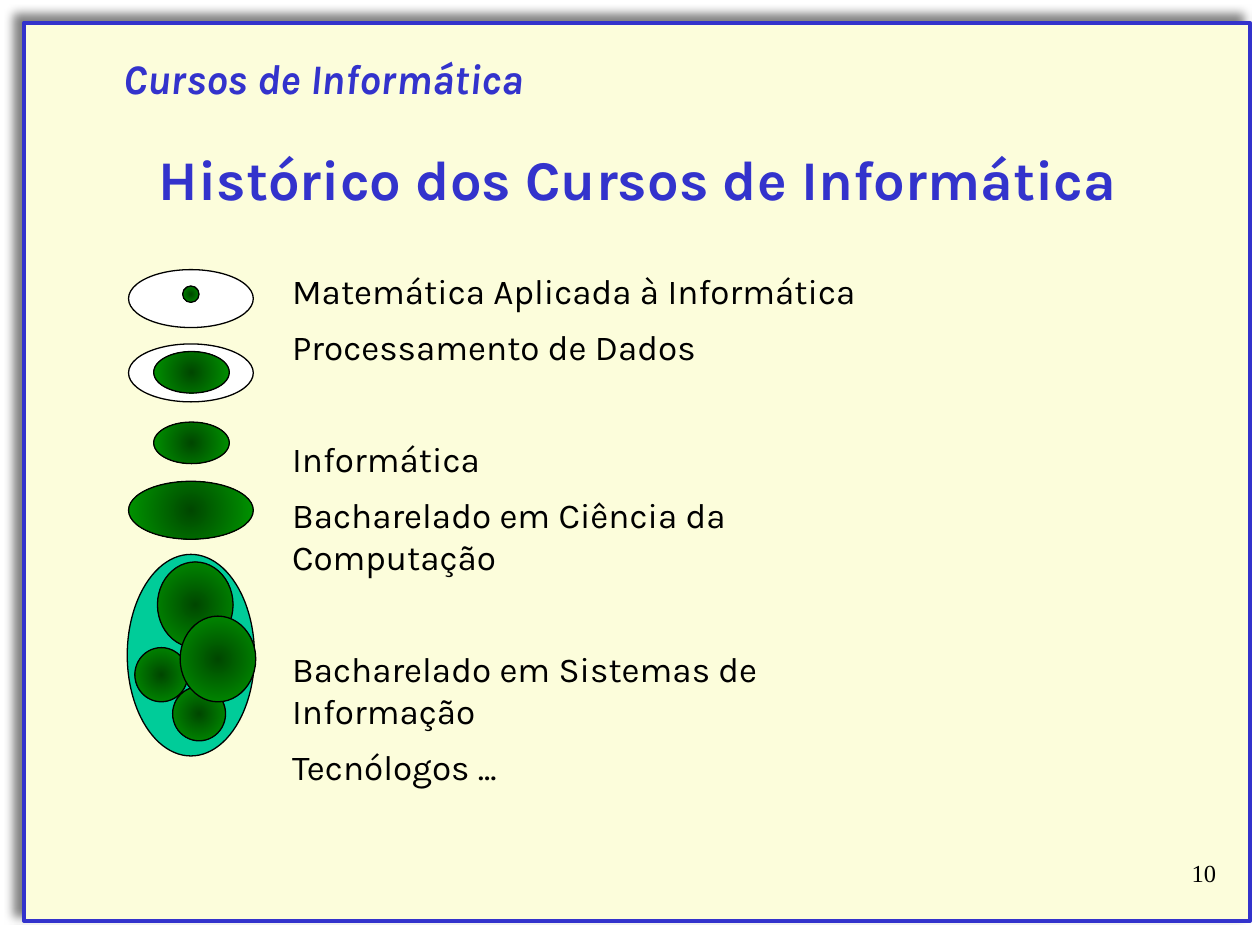
"""Build the slide on the history of computing courses."""
from dataclasses import dataclass

from lxml import etree
from pptx import Presentation
from pptx.dml.color import RGBColor
from pptx.enum.shapes import MSO_SHAPE
from pptx.enum.text import MSO_ANCHOR, MSO_AUTO_SIZE, PP_ALIGN
from pptx.oxml.ns import qn
from pptx.util import Inches, Pt

OVAL, RECT = MSO_SHAPE.OVAL, MSO_SHAPE.RECTANGLE
LEFT, CENTER, RIGHT = PP_ALIGN.LEFT, PP_ALIGN.CENTER, PP_ALIGN.RIGHT
TOP, NO_FIT = MSO_ANCHOR.TOP, MSO_AUTO_SIZE.NONE

BLUE, BLACK, WHITE, CREAM, TEAL = "3333CC", "000000", "FFFFFF", "FCFDDB", "00CC99"
DARK_GREEN, GREEN = "004700", "009900"
KARLA, TIMES = "Karla", "Times New Roman"
LINE_HEIGHT, COURSE_GAP = 24, 8
SECTION_GAP = LINE_HEIGHT + 2 * COURSE_GAP


@dataclass
class Oval:
    left: float
    top: float
    width: float
    height: float
    fill: str = ""


@dataclass
class Course:
    name: str
    gap: int = COURSE_GAP


OUTER, INNER = (0.99, 0.46), (0.6, 0.33)
BIG_CORE, SMALL_CORE = (0.6, 0.68), (0.42, 0.43)
STAGES = [
    Oval(1.02, 2.14, *OUTER, WHITE),
    Oval(1.45, 2.27, 0.13, 0.13),
    Oval(1.02, 2.73, *OUTER, WHITE),
    Oval(1.22, 2.79, *INNER),
    Oval(1.22, 3.35, *INNER),
    Oval(1.02, 3.82, *OUTER),
]
CLUSTER = [
    Oval(1.01, 4.4, 1.01, 1.6, TEAL),
    Oval(1.25, 4.46, *BIG_CORE),
    Oval(1.37, 5.45, *SMALL_CORE),
    Oval(1.07, 5.14, *SMALL_CORE),
    Oval(1.43, 4.89, *BIG_CORE),
]
COURSES = [
    Course("Matemática Aplicada à Informática"),
    Course("Processamento de Dados"),
    Course("Informática", SECTION_GAP),
    Course("Bacharelado em Ciência da Computação"),
    Course("Bacharelado em Sistemas de Informação", SECTION_GAP),
    Course("Tecnólogos ..."),
]


def color(value: str) -> RGBColor:
    return RGBColor.from_string(value)


def place(box: tuple) -> list:
    return [Inches(length) for length in box]


def fill_radial(shape) -> None:
    shape.fill.gradient()
    for stop, shade in zip(shape.fill.gradient_stops, (DARK_GREEN, GREEN)):
        stop.color.rgb = color(shade)
    gradient = shape.element.spPr.find(qn("a:gradFill"))
    gradient.remove(gradient.find(qn("a:lin")))
    radial = etree.SubElement(gradient, qn("a:path"), path="circle")
    etree.SubElement(radial, qn("a:fillToRect"), dict.fromkeys("ltrb", "50000"))


def draw_shape(shapes, preset, box: tuple, fill: str, line: str, weight: float):
    shape = shapes.add_shape(preset, *place(box))
    shape.shadow.inherit = False
    if fill:
        shape.fill.solid()
        shape.fill.fore_color.rgb = color(fill)
    else:
        fill_radial(shape)
    shape.line.color.rgb = color(line)
    shape.line.width = Pt(weight)
    return shape


def draw_ovals(shapes, ovals: list[Oval]) -> None:
    for oval in ovals:
        box = (oval.left, oval.top, oval.width, oval.height)
        draw_shape(shapes, OVAL, box, oval.fill, BLACK, 0.75)


def cast_shadow(shape) -> None:
    effects = shape.element.spPr.find(qn("a:effectLst"))
    shadow = etree.SubElement(
        effects, qn("a:outerShdw"), blurRad=str(Pt(5)), dist=str(Pt(6.4)),
        dir=str(219 * 60000), algn="ctr", rotWithShape="0")
    etree.SubElement(shadow, qn("a:srgbClr"), val="808080")


def write(shape, lines: list[Course], align, **font) -> None:
    frame = shape.text_frame
    settings = {"word_wrap": True, "auto_size": NO_FIT, "vertical_anchor": TOP}
    for name, value in settings.items():
        setattr(frame, name, value)
    for index, line in enumerate(lines):
        paragraph = frame.add_paragraph() if index else frame.paragraphs[0]
        paragraph.alignment = align
        paragraph.space_before = Pt(line.gap)
        run = paragraph.add_run()
        run.text = line.name
        run.font.color.rgb = color(font.get("ink", BLACK))
        for name, value in font.items():
            if name != "ink":
                setattr(run.font, name, value)


def main() -> None:
    deck = Presentation()
    deck.slide_width, deck.slide_height = Inches(10), Inches(7.5)
    slide = deck.slides.add_slide(deck.slide_layouts[5])
    shapes = slide.shapes

    heading = shapes.title
    panel = draw_shape(shapes, RECT, (0.19, 0.18, 9.73, 7.13), CREAM, BLUE, 2.25)
    cast_shadow(panel)
    heading.element.addprevious(panel.element)

    heading.left, heading.top, heading.width, heading.height = place((0.86, 1.1, 8.41, 0.64))
    write(heading, [Course("Histórico dos Cursos de Informática", 0)], CENTER,
          size=Pt(32), name=KARLA, bold=True, ink=BLUE)

    page_number = shapes.add_textbox(*place((7.67, 6.76, 2.08, 0.5)))
    write(page_number, [Course("10", 0)], RIGHT, size=Pt(14), name=TIMES)

    section = shapes.add_textbox(*place((0.88, 0.37, 8.41, 0.51)))
    write(section, [Course("Cursos de Informática", 0)], LEFT,
          size=Pt(24), name=KARLA, bold=True, italic=True, ink=BLUE)

    course_list = shapes.add_textbox(*place((2.22, 2.09, 5.27, 4.54)))
    write(course_list, COURSES, LEFT, size=Pt(20), name=KARLA)

    draw_ovals(shapes, STAGES)
    draw_ovals(shapes.add_group_shape().shapes, CLUSTER)

    deck.save("out.pptx")


if __name__ == "__main__":
    main()
